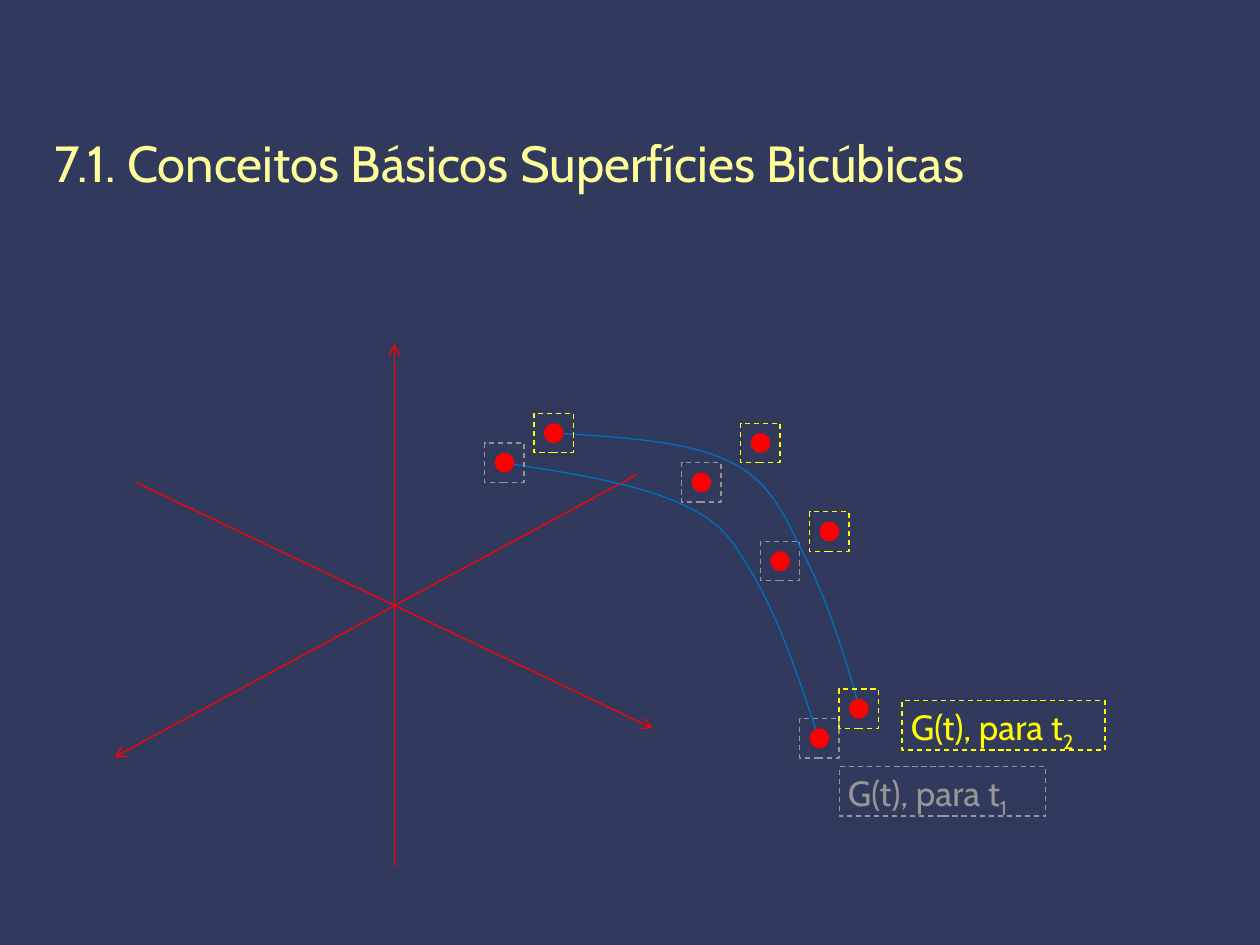
import pptx
import pptx.util
import pptx.dml.color
import pptx.enum.dml
import pptx.enum.shapes
import pptx.oxml
import pptx.oxml.ns

WIDE, HIGH = 10, 7.5
CELL = WIDE / 128  # the drawing sits on a grid of 128 by 96 cells
STEPS = 16  # segments drawn for each Bezier arc
FONT = "Cabin"
HUES = {"back": "31395D", "title": "FFFF99", "red": "FF0000",
        "blue": "0070C0", "gray": "969696", "yellow": "FFFF00"}
SHAPE = pptx.enum.shapes.MSO_SHAPE

# Offsets in cells from the first control point of each curve
FIRST = {
    "dots": [(0, 0), (20, 2), (28, 10), (32, 28)],
    "path": [(-0.3, 0), (6.5, 1), (13.2, 2.1), (17.5, 4), (21.9, 5.9),
             (23, 7.5), (25.3, 11.5), (27.7, 15.5), (29.9, 21.7), (31.9, 28)],
    "hue": "gray", "sub": "1", "label": (34, 30.9, 21, 5)}
SECOND = {
    "dots": [(0, 0), (21, 1), (28, 10), (31, 28)],
    "path": [(0, 0), (6.9, 0.4), (13.8, 0.8), (18.1, 3), (22.3, 5.1),
             (23.6, 8.8), (25.7, 12.9), (27.8, 17.1), (29.5, 22.3), (31, 27.7)],
    "hue": "yellow", "sub": "2", "label": (35.4, 27.2, 20.6, 5)}


def inch(*nums):
    return [pptx.util.Inches(num) for num in nums]


def rgb(hue):
    return pptx.dml.color.RGBColor.from_string(HUES[hue])


def stroke(line, hue, dash=False):
    line.color.rgb = rgb(hue)
    line.width = pptx.util.Pt(0.75)
    if dash:
        line.dash_style = pptx.enum.dml.MSO_LINE.DASH


def write(slide, text, box, size=20, hue="title", sub="", wrap=True):
    frame = slide.shapes.add_textbox(*inch(*box)).text_frame
    frame.word_wrap = wrap
    para = frame.paragraphs[0]
    for part in filter(None, (text, sub)):
        run = para.add_run()
        run.text = part
        run.font.name = FONT
        run.font.size = pptx.util.Pt(size)
        run.font.color.rgb = rgb(hue)
    if sub:
        run.font._element.set("baseline", "-25000")


def mark(slide, kind, box, fill=None, edge=None):
    shape = slide.shapes.add_shape(kind, *inch(*box))
    shape.shadow.inherit = False
    if fill:
        shape.fill.solid()
        shape.fill.fore_color.rgb = rgb(fill)
    else:
        shape.fill.background()
    if edge:
        stroke(shape.line, edge, dash=True)
    else:
        shape.line.fill.background()


def arrow(slide, start, end):
    line = slide.shapes.add_connector(
        pptx.enum.shapes.MSO_CONNECTOR.STRAIGHT, *inch(*start, *end))
    stroke(line.line, "red")
    space = pptx.oxml.ns.nsdecls("a")
    line.line._get_or_add_ln().append(
        pptx.oxml.parse_xml(f'<a:tailEnd {space} type="arrow"/>'))
    line._element.spPr.append(pptx.oxml.parse_xml(f'<a:effectLst {space}/>'))


def arc(slide, path):
    """Draw a chain of cubic Bezier arcs through points in inches."""
    dots = [inch(*path[0])]
    for i in range(0, len(path) - 1, 3):
        ctrl = path[i:i + 4]
        for step in range(1, STEPS + 1):
            t = step / STEPS
            mix = ((1 - t) ** 3, 3 * t * (1 - t) ** 2,
                   3 * t * t * (1 - t), t ** 3)
            dots.append(inch(*(sum(m * c[k] for m, c in zip(mix, ctrl))
                               for k in (0, 1))))
    pen = slide.shapes.build_freeform(*dots[0])
    pen.add_line_segments(dots[1:], close=False)
    shape = pen.convert_to_shape()
    shape.shadow.inherit = False
    shape.fill.background()
    stroke(shape.line, "blue")


def head(slide, box):
    write(slide, "7.1. Conceitos Básicos Superfícies Bicúbicas", box, size=29)


def axes(slide, box):
    left, top, wide, high = box
    ends = [((0.52, 1), (0.52, 0)),
            ((0.97, 0.25), (0, 0.79)),
            ((0.04, 0.265), (1, 0.735))]
    for pair in ends:
        arrow(slide, *((left + x * wide, top + y * high) for x, y in pair))


def curve(slide, origin, data):
    left, top = origin

    def spot(x, y):
        return left + x * CELL, top + y * CELL

    arc(slide, [spot(*dot) for dot in data["path"]])
    # Control points, each a dot inside a dashed square
    for x, y in data["dots"]:
        for kind, side, look in ((SHAPE.OVAL, 2, {"fill": "red"}),
                                 (SHAPE.RECTANGLE, 4, {"edge": data["hue"]})):
            mark(slide, kind, (*spot(x - side / 2, y - side / 2),
                               side * CELL, side * CELL), **look)
    # Label in a dashed frame
    x, y, wide, high = data["label"]
    box = (*spot(x, y), wide * CELL, high * CELL)
    write(slide, "G(t), para t", (box[0] - 0.03, box[1] - 0.01, 1.7, 0.44),
          hue=data["hue"], sub=data["sub"], wrap=False)
    mark(slide, SHAPE.RECTANGLE, box, edge=data["hue"])


def main():
    deck = pptx.Presentation()
    deck.slide_width, deck.slide_height = inch(WIDE, HIGH)
    slide = deck.slides.add_slide(deck.slide_layouts[6])
    slide.background.fill.solid()
    slide.background.fill.fore_color.rgb = rgb("back")
    head(slide, (WIDE / 30, HIGH * 2 / 15, WIDE * 29 / 30, HIGH * 0.09))
    axes(slide, (0.91, 2.73, 4.27, 4.15))
    curve(slide, (51.25 * CELL, 47 * CELL), FIRST)
    curve(slide, (56.25 * CELL, 44 * CELL), SECOND)
    deck.save("out.pptx")


if __name__ == "__main__":
    main()
